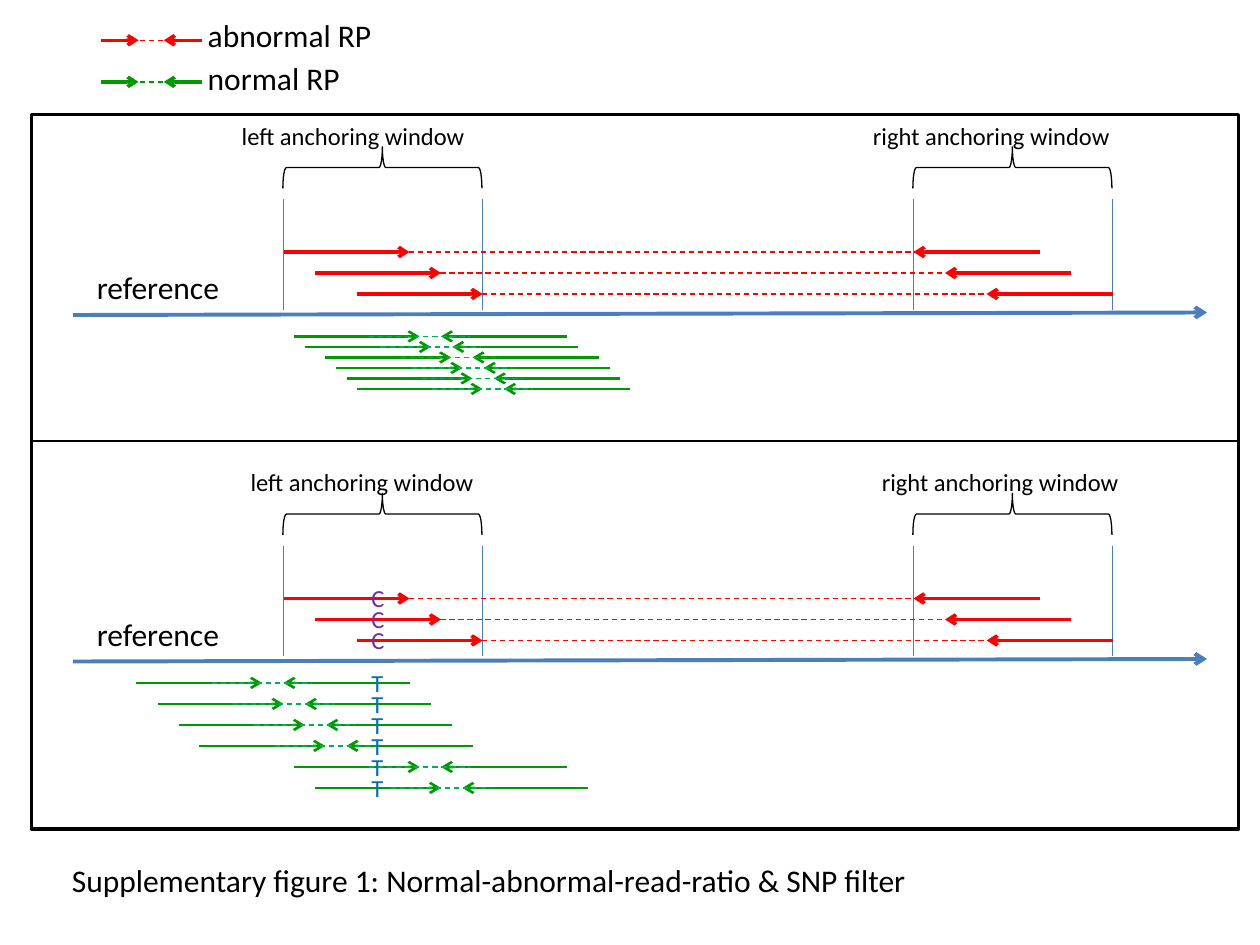
from lxml import etree
from pptx import Presentation
from pptx.dml.color import RGBColor
from pptx.enum.dml import MSO_LINE
from pptx.enum.shapes import MSO_CONNECTOR, MSO_SHAPE
from pptx.enum.text import MSO_ANCHOR, MSO_AUTO_SIZE, PP_ALIGN
from pptx.oxml.ns import qn
from pptx.util import Inches, Pt

STRAIGHT = MSO_CONNECTOR.STRAIGHT
DASH = MSO_LINE.DASH
RECTANGLE = MSO_SHAPE.RECTANGLE
RIGHT_BRACE = MSO_SHAPE.RIGHT_BRACE
TOP = MSO_ANCHOR.TOP
LEFT = PP_ALIGN.LEFT
FIT_SHAPE = MSO_AUTO_SIZE.SHAPE_TO_FIT_TEXT

BLACK = RGBColor(0x00, 0x00, 0x00)
BLUE = RGBColor(0x4B, 0x7E, 0xBC)
RED = RGBColor(0xFF, 0x00, 0x00)
GREEN = RGBColor(0x00, 0x99, 0x00)
LIGHT_GREEN = RGBColor(0x00, 0xB0, 0x50)
PURPLE = RGBColor(0x70, 0x30, 0xA0)
LETTER_BLUE = RGBColor(0x00, 0x70, 0xC0)

PANEL_STEP = 2.75
WINDOW_WIDTH = 1.58
ABNORMAL_STARTS = (2.25, 2.5, 2.83)
UPPER_NORMAL_STARTS = (2.33, 2.42, 2.58, 2.67, 2.75, 2.83)
LOWER_NORMAL_STARTS = (1.08, 1.25, 1.42, 1.58, 2.33, 2.5)


def write_text(box, text, size=18, color=BLACK):
    frame = box.text_frame
    frame.word_wrap = True
    frame.auto_size = FIT_SHAPE
    frame.vertical_anchor = TOP
    para = frame.paragraphs[0]
    para.alignment = LEFT
    span = para.add_run()
    span.text = text
    span.font.name = "Calibri"
    span.font.size = Pt(size)
    span.font.color.rgb = color


def add_label(page, text, left, top, width, height=0.4, **text_format):
    box = page.shapes.add_textbox(
        Inches(left), Inches(top), Inches(width), Inches(height))
    write_text(box, text, **text_format)


def add_line(page, start, end, color, width=0.75, dashed=False, arrow=False):
    line = page.shapes.add_connector(
        STRAIGHT, *(Inches(value) for value in (*start, *end)))
    line.line.color.rgb = color
    line.line.width = Pt(width)
    if dashed:
        line.line.dash_style = DASH
    if arrow:
        outline = line.line._get_or_add_ln()
        etree.SubElement(outline, qn("a:tailEnd"), type="arrow")
    etree.SubElement(line._element.spPr, qn("a:effectLst"))


def add_outline(page, kind, left, top, width, height, line_width, rotation=0):
    shape = page.shapes.add_shape(
        kind, Inches(left), Inches(top), Inches(width), Inches(height))
    shape.rotation = rotation
    shape.shadow.inherit = False
    shape.fill.background()
    shape.line.color.rgb = BLACK
    shape.line.width = Pt(line_width)


def add_read_pair(page, left, y, read, span, dash, color, width, dash_color):
    right = left + span
    add_line(page, (left, y), (left + read, y), color, width, arrow=True)
    add_line(page, (right, y), (right - read, y), color, width, arrow=True)
    add_line(page, (left + dash[0], y), (left + dash[1], y), dash_color,
             dashed=True)


def add_legend_entry(page, text, y, label_top, color):
    add_read_pair(page, 0.8, y, 0.3, 0.8, (0.17, 0.77), color, 2, color)
    add_label(page, text, 1.55, label_top, 1.62)


def add_window(page, text, left, offset, label_left):
    for x in (left, left + WINDOW_WIDTH):
        add_line(page, (x, 1.58 + offset), (x, 2.46 + offset), BLUE)
    add_outline(page, RIGHT_BRACE, left + 0.62, 0.54 + offset, 0.33,
                WINDOW_WIDTH, 0.75, rotation=270)
    add_label(page, text, label_left, 0.91 + offset, 2.6, 0.34, size=14)


def add_letter(page, letter, y, color):
    add_label(page, letter, 2.85, y - 0.17, 0.3, 0.34, size=14, color=color)


def add_panel(page, offset, label_shift, normal_starts, normal_step, letters):
    add_line(page, (0.58, 2.5 + offset), (9.58, 2.48 + offset), BLUE, 2.25,
             arrow=True)
    add_label(page, "reference", 0.67, 2.08 + offset, 1.31)
    add_window(page, "left anchoring window", 2.25, offset, 1.82 + label_shift)
    add_window(page, "right anchoring window", 7.25, offset,
               6.83 + label_shift)
    for row, left in enumerate(ABNORMAL_STARTS):
        y = 2 + offset + row / 6
        add_read_pair(page, left, y, 1, 6, (0.35, 5.25), RED, 2, RED)
        if letters:
            add_letter(page, "C", y, PURPLE)
    for row, left in enumerate(normal_starts):
        y = 2.67 + offset + row * normal_step
        add_read_pair(page, left, y, 1, 2.17, (0.6, 1.4), GREEN, 1.5,
                      LIGHT_GREEN)
        if letters:
            add_letter(page, "T", y, LETTER_BLUE)


def add_caption(page, text):
    title = page.shapes.title
    title.left, title.top = Inches(0.47), Inches(6.78)
    title.width, title.height = Inches(9.17), Inches(0.4)
    write_text(title, text)


def main():
    deck = Presentation()
    deck.slide_width, deck.slide_height = Inches(10), Inches(7.5)
    page = deck.slides.add_slide(deck.slide_layouts[5])
    add_caption(page, "Supplementary figure 1: "
                      "Normal-abnormal-read-ratio & SNP filter")
    add_legend_entry(page, "abnormal RP", 0.32, 0.08, RED)
    add_legend_entry(page, "normal RP", 0.65, 0.42, GREEN)
    add_panel(page, 0, 0, UPPER_NORMAL_STARTS, 1 / 12, letters=False)
    add_panel(page, PANEL_STEP, 0.07, LOWER_NORMAL_STARTS, 1 / 6, letters=True)
    add_outline(page, RECTANGLE, 0.25, 0.91, 9.58, 5.67, 2)
    add_line(page, (0.25, 3.5), (9.83, 3.5), BLACK)
    deck.save("out.pptx")


if __name__ == "__main__":
    main()
